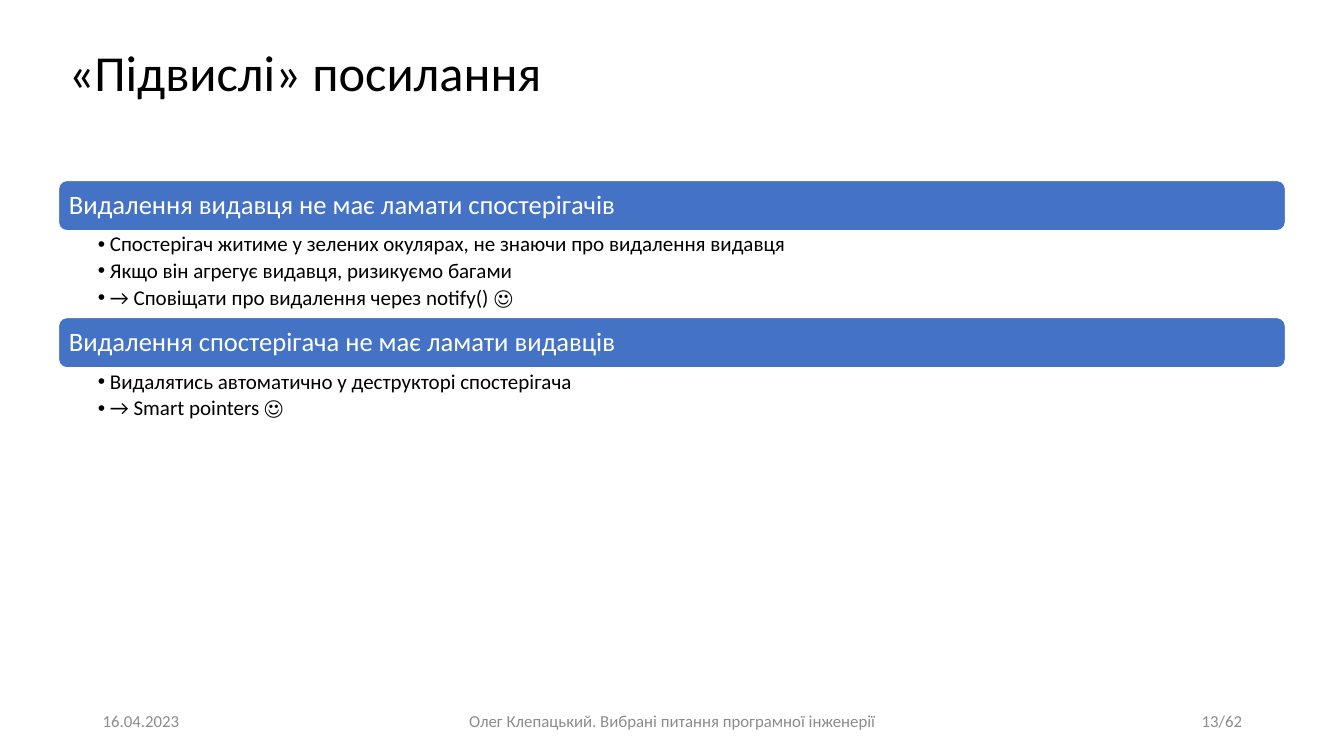
from lxml.etree import SubElement
from pptx import Presentation
from pptx.dml.color import RGBColor
from pptx.enum.shapes import MSO_SHAPE
from pptx.enum.text import MSO_ANCHOR, MSO_AUTO_SIZE, PP_ALIGN
from pptx.oxml.ns import qn
from pptx.util import Inches, Pt

BLACK = RGBColor(0x00, 0x00, 0x00)
WHITE = RGBColor(0xFF, 0xFF, 0xFF)
BLUE = RGBColor(0x44, 0x72, 0xC4)
GRAY = RGBColor(0x8C, 0x8C, 0x8C)

FONT = "Calibri"
LEFT, WIDTH, TOP = 0.58, 12.17, 1.79
BAR = 0.5

TOPICS = [
    ("Видалення видавця не має ламати спостерігачів", 0.86, [
        "Спостерігач житиме у зелених окулярах, не знаючи про видалення видавця",
        "Якщо він агрегує видавця, ризикуємо багами",
        "→ Сповіщати про видалення через notify() ☺",
    ]),
    ("Видалення спостерігача не має ламати видавців", 0.57, [
        "Видалятись автоматично у деструкторі спостерігача",
        "→ Smart pointers ☺",
    ]),
]

FOOTER = [
    ("16.04.2023", 0.92, 3, PP_ALIGN.LEFT),
    ("Олег Клепацький. Вибрані питання програмної інженерії", 4.42, 4.5,
     PP_ALIGN.CENTER),
    ("13/62", 9.42, 3, PP_ALIGN.RIGHT),
]


def add_bullet(para):
    para.level = 1
    props = para._p.get_or_add_pPr()
    props.set("marL", str(Inches(0.12)))
    props.set("indent", str(Inches(-0.12)))
    SubElement(props, qn("a:buFont"), typeface="Arial")
    SubElement(props, qn("a:buChar"), char="•")


def write(shape, lines, size, color, align=PP_ALIGN.LEFT,
          anchor=MSO_ANCHOR.MIDDLE, insets=(0.1, 0.05, 0.1, 0.05),
          spacing=0.9, after=0, bullet=False):
    """Fill a shape with paragraphs; insets run left, top, right, bottom."""
    frame = shape.text_frame
    frame.word_wrap = True
    frame.auto_size = MSO_AUTO_SIZE.NONE
    frame.vertical_anchor = anchor
    (frame.margin_left, frame.margin_top,
     frame.margin_right, frame.margin_bottom) = map(Inches, insets)
    for i, line in enumerate(lines):
        para = frame.add_paragraph() if i else frame.paragraphs[0]
        if bullet:
            add_bullet(para)
        para.alignment = align
        para.line_spacing = spacing
        para.space_after = Pt(after)
        run = para.add_run()
        run.text = line
        run.font.name = FONT
        run.font.size = Pt(size)
        run.font.color.rgb = color


def add_box(slide, left, top, width, height):
    return slide.shapes.add_textbox(
        Inches(left), Inches(top), Inches(width), Inches(height))


def add_title(slide, text):
    title = slide.shapes.title
    title.left, title.top = Inches(LEFT), Inches(0.02)
    title.width, title.height = Inches(10.54), Inches(1.45)
    write(title, [text], 36, BLACK)


def add_bar(slide, text, top):
    bar = slide.shapes.add_shape(
        MSO_SHAPE.ROUNDED_RECTANGLE,
        Inches(LEFT), Inches(top), Inches(WIDTH), Inches(BAR))
    bar.shadow.inherit = False
    bar.fill.solid()
    bar.fill.fore_color.rgb = BLUE
    bar.line.color.rgb = WHITE
    bar.line.width = Pt(1)
    write(bar, [text], 19, WHITE, insets=(0.08, 0.08, 0.08, 0.08))


def add_points(slide, points, top, height):
    box = add_box(slide, LEFT, top, WIDTH, height)
    write(box, points, 15, BLACK, anchor=MSO_ANCHOR.TOP,
          insets=(0.39, 0.03, 0.15, 0.03), after=3, bullet=True)


def main():
    deck = Presentation()
    deck.slide_width, deck.slide_height = Inches(13.33), Inches(7.5)
    slide = deck.slides.add_slide(deck.slide_layouts[5])
    add_title(slide, "«Підвислі» посилання")

    top = TOP
    for head, height, points in TOPICS:
        add_bar(slide, head, top)
        add_points(slide, points, top + BAR, height)
        top += BAR + height

    for text, left, width, align in FOOTER:
        box = add_box(slide, left, 6.95, width, 0.4)
        write(box, [text], 12, GRAY, align=align, spacing=1.0)

    deck.save("out.pptx")


if __name__ == "__main__":
    main()
